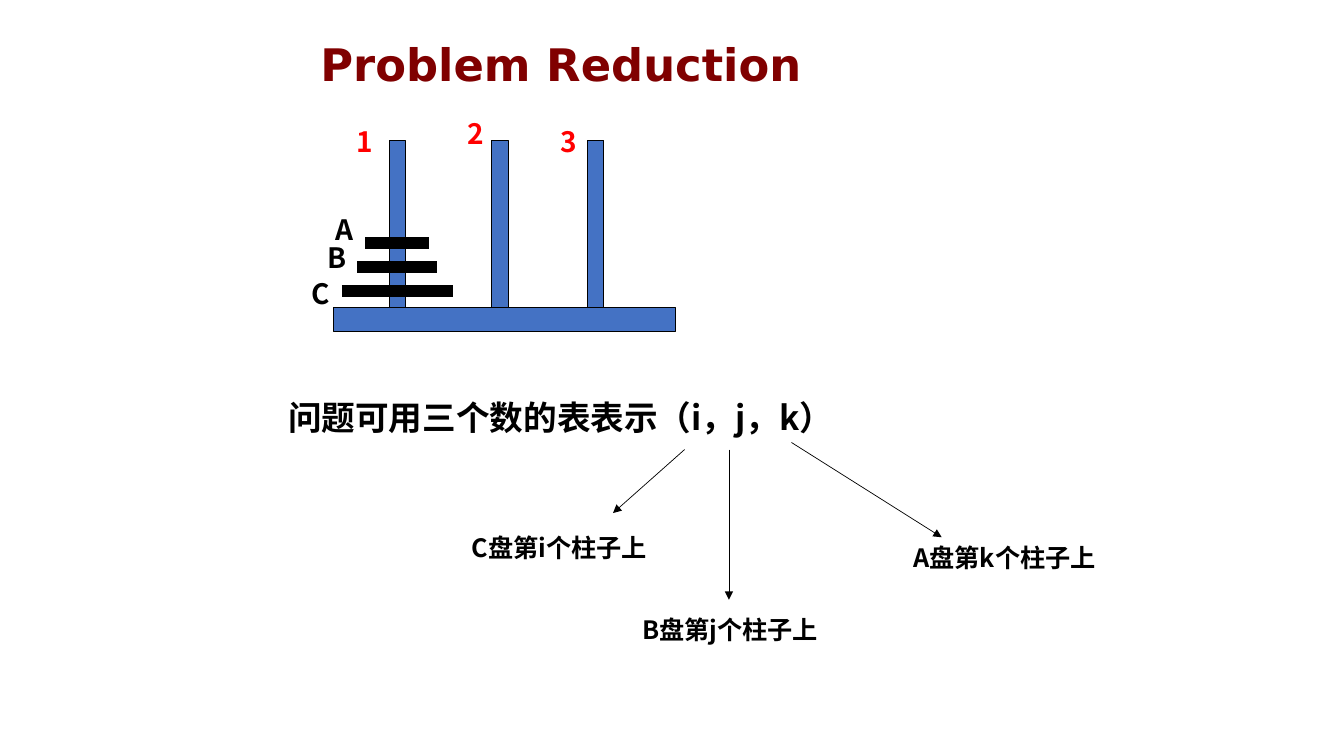
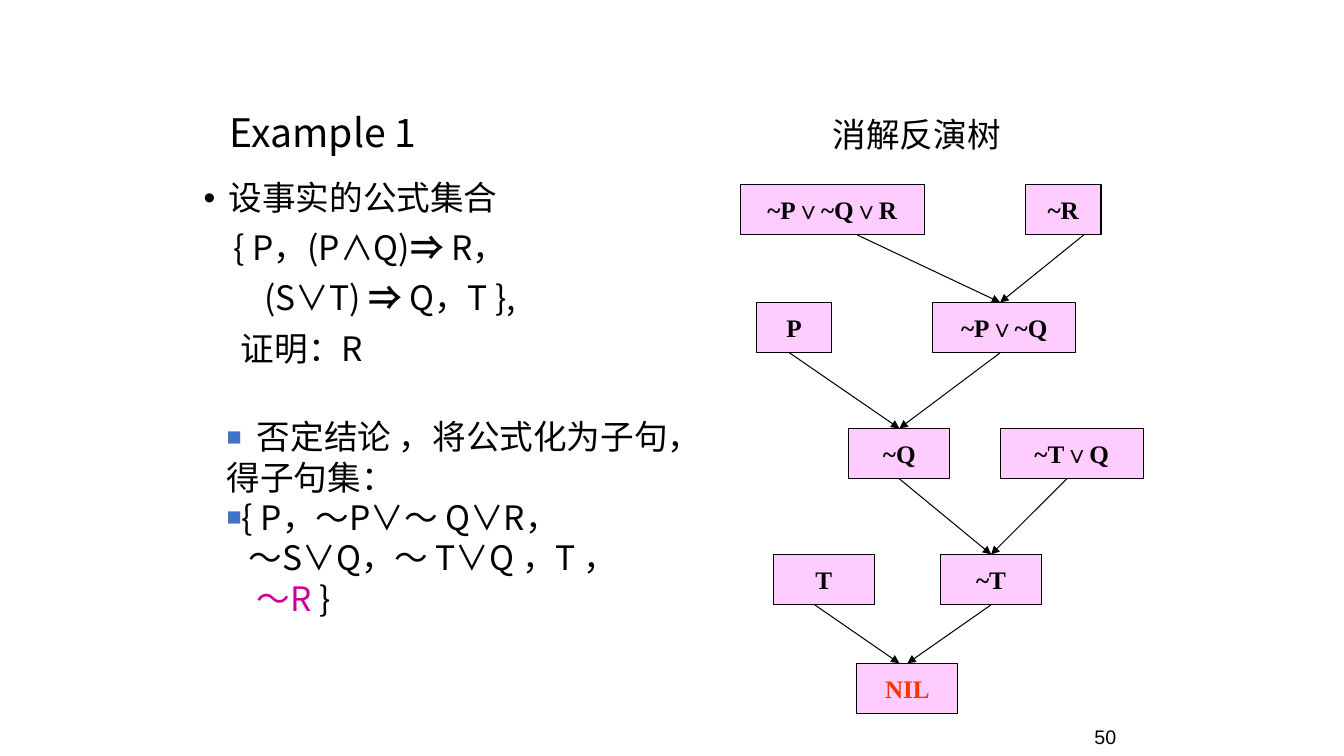
"""Build two slides: the Tower of Hanoi state and a resolution refutation tree."""
from dataclasses import dataclass
from typing import NamedTuple

import lxml.etree
import pptx
import pptx.dml.color
import pptx.enum.shapes
import pptx.enum.text
import pptx.oxml.ns
import pptx.util

Inches = pptx.util.Inches
Pt = pptx.util.Pt
RGBColor = pptx.dml.color.RGBColor
Align = pptx.enum.text.PP_ALIGN
Anchor = pptx.enum.text.MSO_ANCHOR
qn = pptx.oxml.ns.qn

BLACK = RGBColor(0x00, 0x00, 0x00)
BLUE = RGBColor(0x44, 0x72, 0xC4)
RED = RGBColor(0xFF, 0x00, 0x00)
MAROON = RGBColor(0x80, 0x00, 0x00)
PINK = RGBColor(0xFF, 0xCC, 0xFF)
MAGENTA = RGBColor(0xCC, 0x00, 0x99)
ORANGE_RED = RGBColor(0xFF, 0x33, 0x00)

SC = "Noto Sans CJK SC"
JP = "Noto Sans CJK JP"


class Style(NamedTuple):
    font: str
    size: int
    color: RGBColor = BLACK
    bold: bool = False


TITLE = Style("DejaVu Sans", 32, MAROON, True)
STATEMENT = Style(SC, 24, bold=True)
DISC_LABEL = Style(SC, 20, bold=True)
PEG_LABEL = Style(SC, 20, RED, True)
MEANING = Style(SC, 18, bold=True)
EXAMPLE_TITLE = Style(JP, 28)
BODY = Style(JP, 24)
TREE_TITLE = Style(SC, 24)
CLAUSE = Style("Times New Roman", 18, bold=True)
EMPTY_CLAUSE = CLAUSE._replace(color=ORANGE_RED)
PAGE_NUMBER = Style("Arial", 14)


class Piece(NamedTuple):
    text: str
    bold: bool | None = None
    color: RGBColor | None = None


class Bullet(NamedTuple):
    char: str
    color: RGBColor | None = None
    percent: int = 100


@dataclass
class Line:
    pieces: list[Piece]
    left: float = 0
    first: float = 0
    bullet: Bullet | None = None
    tab: float | None = None


class Label(NamedTuple):
    text: str
    left: float
    top: float
    style: Style


class Meaning(NamedTuple):
    text: str
    left: float
    top: float
    start: tuple[float, float]
    end: tuple[float, float]


@dataclass
class Node:
    text: str
    row: int
    left: float
    width: float
    start: float = 0
    end: float = 0
    style: Style = CLAUSE


SQUARE = Bullet("■", BLUE, 75)
PEG_LEFTS = (3.86, 4.88, 5.83)
PEG_TOP, PEG_WIDTH, BASE_TOP = 1.39, 0.16, 3.05
DISC_WIDTHS = (0.63, 0.79, 1.1)
DISC_TOP, DISC_STEP = 2.41, 0.24
LABELS = [
    Label("A", 3.23, 2.06, DISC_LABEL),
    Label("B", 3.15, 2.34, DISC_LABEL),
    Label("C", 2.99, 2.69, DISC_LABEL),
    Label("1", 3.44, 1.19, PEG_LABEL),
    Label("2", 4.54, 1.11, PEG_LABEL),
    Label("3", 5.46, 1.19, PEG_LABEL),
]
MEANINGS = [
    Meaning("C盘第i个柱子上", 4.58, 5.23, (6.79, 4.46), (6.08, 5.09)),
    Meaning("B盘第j个柱子上", 6.27, 6.05, (7.23, 4.46), (7.23, 5.95)),
    Meaning("A盘第k个柱子上", 8.96, 5.33, (7.85, 4.39), (9.34, 5.33)),
]
FACTS = [
    Line([Piece("设事实的公式集合")], 0.25, -0.25, Bullet("•")),
    Line([Piece("{ P，(P∧Q)"), Piece("⇒ ", True), Piece("R，")], 0.3),
    Line([Piece("(S∨T)"), Piece(" ⇒ ", True), Piece("Q，T },")], 0.6),
    Line([Piece("证明：R")], 0.37),
]
CLAUSE_SET = [
    Line([Piece("\t否定结论 ，将公式化为子句，得子句集：")], bullet=SQUARE, tab=0.3),
    Line([Piece("{ P，～P∨～ Q∨R，")], bullet=SQUARE),
    Line([Piece("～S∨Q，～ T∨Q ，T ，")], 0.22),
    Line([Piece("～R", color=MAGENTA), Piece(" }")], 0.3),
]
ROW_TOPS = (1.83, 3, 4.25, 5.5, 6.58)
NODE_HEIGHT = 0.5
NODES = [
    Node("~P∨~Q∨R", 0, 7.34, 1.83, 8.5, 9.92),
    Node("~R", 0, 10.17, 0.75, 10.75, 9.92),
    Node("P", 1, 7.5, 0.75, 7.83, 8.92),
    Node("~P∨~Q", 1, 9.25, 1.42, 9.92, 8.92),
    Node("~Q", 2, 8.42, 1, 8.92, 9.83),
    Node("~T∨Q", 2, 9.92, 1.42, 10.58, 9.83),
    Node("T", 3, 7.67, 1, 8.08, 8.92),
    Node("~T", 3, 9.33, 1, 9.83, 9),
    Node("NIL", 4, 8.5, 1, style=EMPTY_CLAUSE),
]


def apply_style(paragraph, style: Style) -> None:
    """Set the font of a whole paragraph, for Latin and East Asian text."""
    font = paragraph.font
    font.name, font.size, font.bold = style.font, Pt(style.size), style.bold
    font.color.rgb = style.color
    lxml.etree.SubElement(font._element, qn("a:ea"), typeface=style.font)


def add_box(slide, left: float, top: float, width: float, height: float,
            anchor=Anchor.TOP):
    """Add a wrapping text box and return its text frame."""
    frame = slide.shapes.add_textbox(
        Inches(left), Inches(top), Inches(width), Inches(height)).text_frame
    frame.word_wrap = True
    frame.vertical_anchor = anchor
    return frame


def add_text(slide, text: str, style: Style, left: float, top: float, width: float,
             height: float, anchor=Anchor.TOP, align=Align.LEFT) -> None:
    """Add a text box with one paragraph."""
    paragraph = add_box(slide, left, top, width, height, anchor).paragraphs[0]
    paragraph.text = text
    paragraph.alignment = align
    apply_style(paragraph, style)


def format_line(paragraph, line: Line) -> None:
    """Set indents, bullet and tab stop of a paragraph."""
    props = paragraph._p.get_or_add_pPr()
    props.set("marL", str(Inches(line.left)))
    props.set("indent", str(Inches(line.first)))
    if line.bullet:
        if line.bullet.color is not None:
            color = lxml.etree.SubElement(props, qn("a:buClr"))
            lxml.etree.SubElement(color, qn("a:srgbClr"), val=str(line.bullet.color))
        lxml.etree.SubElement(props, qn("a:buSzPct"), val=str(line.bullet.percent * 1000))
        lxml.etree.SubElement(props, qn("a:buFont"), typeface="Arial")
        lxml.etree.SubElement(props, qn("a:buChar"), char=line.bullet.char)
    if line.tab:
        tabs = lxml.etree.SubElement(props, qn("a:tabLst"))
        lxml.etree.SubElement(tabs, qn("a:tab"), pos=str(Inches(line.tab)), algn="l")


def add_lines(frame, lines: list[Line], spacing: float = 1, before: float = 0) -> None:
    """Fill a text frame with formatted lines."""
    for index, line in enumerate(lines):
        paragraph = frame.add_paragraph() if index else frame.paragraphs[0]
        format_line(paragraph, line)
        paragraph.line_spacing = spacing
        paragraph.space_before = Pt(before if index else 0)
        apply_style(paragraph, BODY)
        for piece in line.pieces:
            run = paragraph.add_run()
            run.text = piece.text
            if piece.bold is not None:
                run.font.bold = piece.bold
            if piece.color is not None:
                run.font.color.rgb = piece.color


def add_block(slide, left: float, top: float, width: float, height: float,
              fill: RGBColor):
    """Add an outlined rectangle."""
    block = slide.shapes.add_shape(
        pptx.enum.shapes.MSO_SHAPE.RECTANGLE,
        Inches(left), Inches(top), Inches(width), Inches(height))
    block.shadow.inherit = False
    block.fill.solid()
    block.fill.fore_color.rgb = fill
    block.line.color.rgb = BLACK
    block.line.width = Pt(0.75)
    return block


def add_stroke(slide, start: tuple[float, float], end: tuple[float, float],
               weight: float, arrow: bool = True) -> None:
    """Add a straight black line, with an arrowhead at its end if asked."""
    stroke = slide.shapes.add_connector(
        pptx.enum.shapes.MSO_CONNECTOR.STRAIGHT,
        *(Inches(value) for value in (*start, *end)))
    stroke.line.color.rgb = BLACK
    stroke.line.width = Pt(weight)
    props = stroke._element.spPr
    if arrow:
        lxml.etree.SubElement(props.find(qn("a:ln")), qn("a:tailEnd"), type="triangle")
    lxml.etree.SubElement(props, qn("a:effectLst"))


def add_node(slide, node: Node) -> None:
    """Add a clause of the tree and the arrow to its resolvent."""
    top = ROW_TOPS[node.row]
    frame = add_block(slide, node.left, top, node.width, NODE_HEIGHT, PINK).text_frame
    frame.word_wrap = False
    frame.vertical_anchor = Anchor.MIDDLE
    clause = frame.paragraphs[0]
    clause.text = node.text
    clause.alignment = Align.CENTER
    apply_style(clause, node.style)
    if node.end:
        add_stroke(slide, (node.start, top + NODE_HEIGHT),
                   (node.end, ROW_TOPS[node.row + 1]), 0.75)


def build_hanoi(slide) -> None:
    """Draw the pegs, the discs and the meaning of the triple."""
    add_text(slide, "Problem Reduction", TITLE, 3.08, 0.25, 8.3, 0.77, Anchor.MIDDLE)
    add_block(slide, 3.31, BASE_TOP, 3.39, 0.24, BLUE)
    for left in PEG_LEFTS:
        add_block(slide, left, PEG_TOP, PEG_WIDTH, BASE_TOP - PEG_TOP, BLUE)
    center = PEG_LEFTS[0] + PEG_WIDTH / 2
    for index, width in enumerate(DISC_WIDTHS):
        level = DISC_TOP + index * DISC_STEP
        add_stroke(slide, (center - width / 2, level), (center + width / 2, level),
                   8.5, arrow=False)
    for label in LABELS:
        add_text(slide, label.text, label.style, label.left, label.top, 0.34, 0.43)
    add_text(slide, "问题可用三个数的表表示（i，j，k）", STATEMENT, 2.76, 3.89, 5.66, 0.51)
    for meaning in MEANINGS:
        add_text(slide, meaning.text, MEANING, meaning.left, meaning.top, 5, 0.4)
        add_stroke(slide, meaning.start, meaning.end, 0.5)


def build_refutation(slide) -> None:
    """Draw the example and its refutation tree."""
    add_text(slide, "50", PAGE_NUMBER, 7.61, 7.14, 3.56, 0.24, align=Align.RIGHT)
    add_text(slide, "Example 1", EXAMPLE_TITLE, 2.18, 0.68, 2.6, 1.25, Anchor.MIDDLE)
    add_lines(add_box(slide, 1.92, 1.75, 4.92, 2.08), FACTS, 0.9, 10)
    add_lines(add_box(slide, 2.15, 4.08, 4.91, 2.12), CLAUSE_SET)
    for node in NODES:
        add_node(slide, node)
    add_text(slide, "消解反演树", TREE_TITLE, 8.16, 1.08, 1.9, 0.51)


def main() -> None:
    """Build and save the presentation."""
    deck = pptx.Presentation()
    deck.slide_width, deck.slide_height = Inches(13.33), Inches(7.5)
    for build in (build_hanoi, build_refutation):
        build(deck.slides.add_slide(deck.slide_layouts[6]))
    deck.save("out.pptx")


if __name__ == "__main__":
    main()
